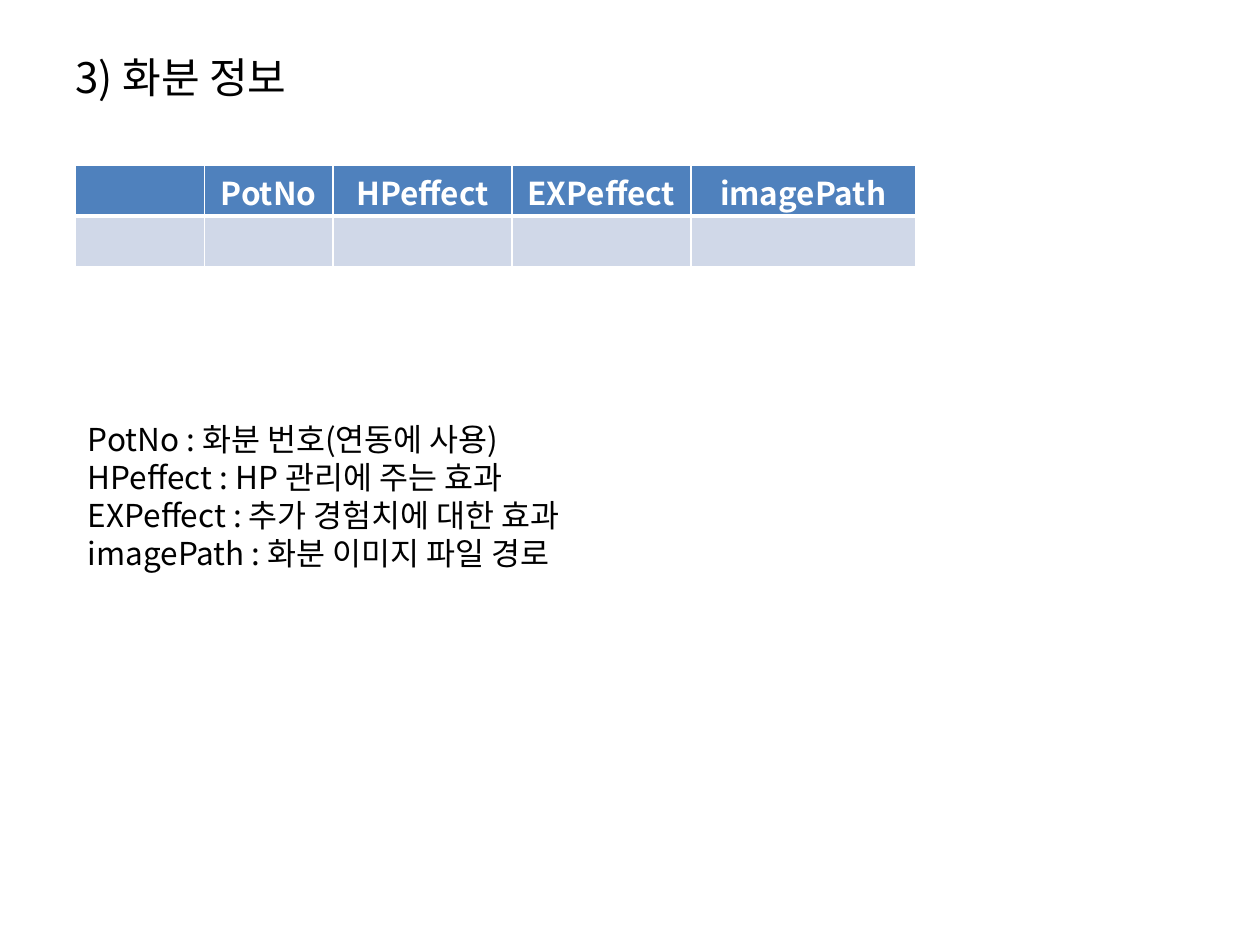
from dataclasses import dataclass

from lxml.etree import SubElement
from pptx import Presentation
from pptx.dml.color import RGBColor
from pptx.enum.text import MSO_ANCHOR, MSO_AUTO_SIZE, PP_ALIGN
from pptx.oxml.ns import qn
from pptx.util import Pt

FONT = "Noto Sans CJK KR"
BLACK = RGBColor(0x00, 0x00, 0x00)
WHITE = RGBColor(0xFF, 0xFF, 0xFF)
HEADER_BLUE = RGBColor(0x4F, 0x81, 0xBD)
ROW_BLUE = RGBColor(0xD0, 0xD8, 0xE8)
LINE_HEIGHT = Pt(21.7)
ROW_HEIGHT = 29.16


@dataclass(frozen=True)
class Field:
    name: str
    width: float
    meaning: str = ""


FIELDS = [
    Field("", 73.6),
    Field("PotNo", 73.6, "화분 번호(연동에 사용)"),
    Field("HPeffect", 102.2, "HP 관리에 주는 효과"),
    Field("EXPeffect", 102.2, "추가 경험치에 대한 효과"),
    Field("imagePath", 128.4, "화분 이미지 파일 경로"),
]


def add_run(p, text: str, size: float, color: RGBColor, bold: bool = False) -> None:
    r = p.add_run()
    r.text = text
    r.font.size = Pt(size)
    r.font.bold = bold
    r.font.color.rgb = color
    r.font.name = FONT
    SubElement(r.font._element, qn("a:ea"), typeface=FONT)


def add_title(s, text: str) -> None:
    title = s.shapes.title
    title.left, title.top, title.width, title.height = Pt(36), Pt(21.6), Pt(391.7), Pt(43.9)
    tf = title.text_frame
    tf.vertical_anchor = MSO_ANCHOR.MIDDLE
    tf.auto_size = MSO_AUTO_SIZE.NONE
    p = tf.paragraphs[0]
    p.alignment = PP_ALIGN.LEFT
    add_run(p, text, 24, BLACK)


def add_notes_box(s, fields: list[Field]) -> None:
    box = s.shapes.add_textbox(Pt(43.2), Pt(236.2), Pt(465.1), Pt(94.3))
    tf = box.text_frame
    tf.word_wrap = True
    tf.auto_size = MSO_AUTO_SIZE.SHAPE_TO_FIT_TEXT
    for i, field in enumerate(fields):
        p = tf.add_paragraph() if i else tf.paragraphs[0]
        p.line_spacing = LINE_HEIGHT
        add_run(p, f"{field.name} : {field.meaning}", 18, BLACK)


def set_borders(cell, top: float, bottom: float) -> None:
    tc_pr = cell._tc.get_or_add_tcPr()
    for tag, width in (("lnL", 1), ("lnR", 1), ("lnT", top), ("lnB", bottom)):
        ln = SubElement(tc_pr, qn(f"a:{tag}"), w=str(Pt(width)))
        fill = SubElement(ln, qn("a:solidFill"))
        SubElement(fill, qn("a:srgbClr"), val=str(WHITE))


def add_field_table(s, fields: list[Field]) -> None:
    width = sum(field.width for field in fields)
    frame = s.shapes.add_table(
        2, len(fields), Pt(43.2), Pt(94.3), Pt(width), Pt(2 * ROW_HEIGHT)
    )
    table = frame.table
    for row in table.rows:
        row.height = Pt(ROW_HEIGHT)
    for col, field in enumerate(fields):
        table.columns[col].width = Pt(field.width)
        for row, (color, top, bottom) in enumerate(((HEADER_BLUE, 1, 3), (ROW_BLUE, 3, 1))):
            cell = table.cell(row, col)
            set_borders(cell, top, bottom)
            cell.fill.solid()
            cell.fill.fore_color.rgb = color
            cell.margin_top, cell.margin_bottom = Pt(6.4), Pt(0.8)
            p = cell.text_frame.paragraphs[0]
            p.alignment = PP_ALIGN.CENTER
            p.line_spacing = LINE_HEIGHT
            if row == 0 and field.name:
                add_run(p, field.name, 18, WHITE, bold=True)


prs = Presentation()
prs.slide_width, prs.slide_height = Pt(720), Pt(540)
s = prs.slides.add_slide(prs.slide_layouts[5])
add_title(s, "3) 화분 정보")
add_notes_box(s, [field for field in FIELDS if field.meaning])
add_field_table(s, FIELDS)
prs.save("out.pptx")
